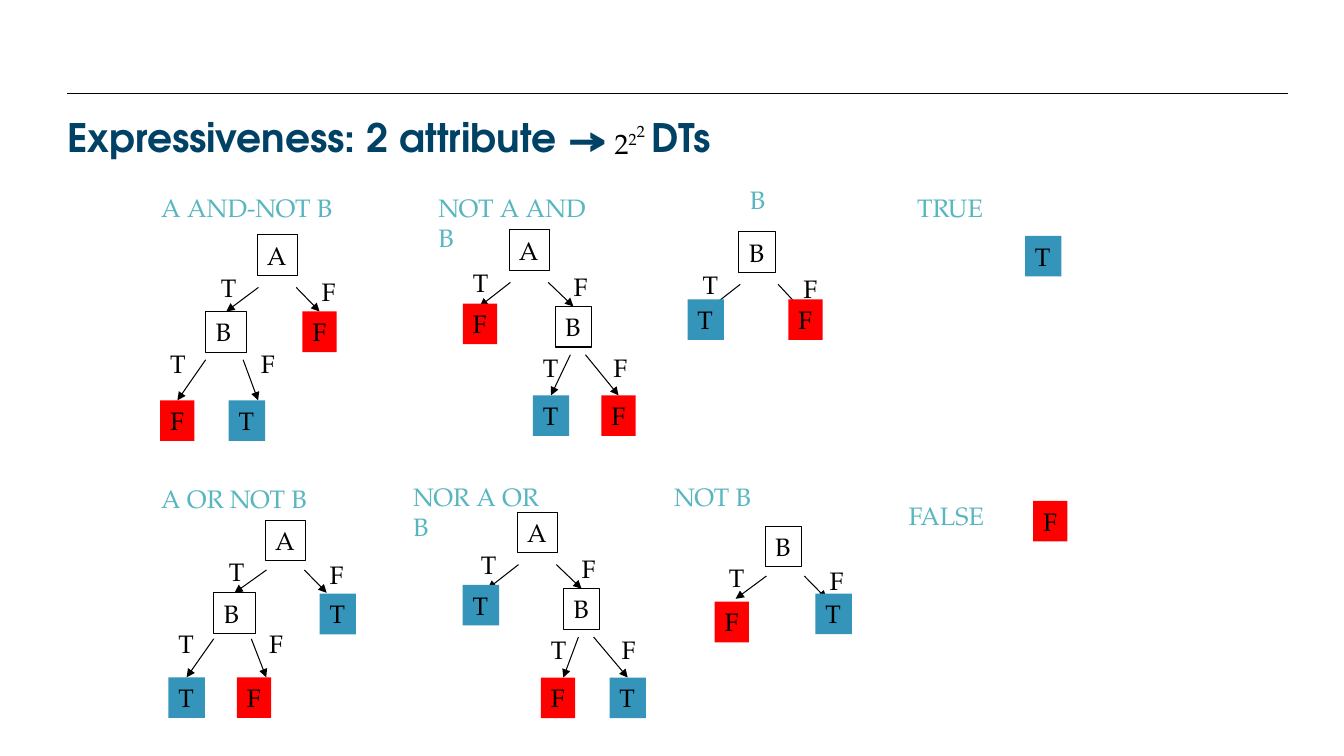
from lxml.etree import SubElement
from pptx import Presentation
from pptx.dml.color import RGBColor
from pptx.enum.shapes import MSO_CONNECTOR as LINE, MSO_SHAPE as SHAPE
from pptx.enum.text import MSO_ANCHOR as ANCHOR, MSO_AUTO_SIZE as AUTO, PP_ALIGN as ALIGN
from pptx.oxml.ns import qn
from pptx.util import Pt

BLACK = RGBColor(0x00, 0x00, 0x00)
RED = RGBColor(0xFF, 0x00, 0x00)
BLUE = RGBColor(0x34, 0x94, 0xBA)
TEAL = RGBColor(0x58, 0xB6, 0xC0)
NAVY = RGBColor(0x00, 0x42, 0x66)
SERIF, SANS = "TeX Gyre Pagella", "TeX Gyre Adventor"

# Content: captions as (text, left, top, width, wrapped)
CAPS = [
    ("A AND-NOT B", 108, 134, 137, False),
    ("NOT A AND B", 306, 134, 134, True),
    ("B", 528.5, 128, 26.5, False),
    ("TRUE", 648, 134, 63.5, False),
    ("A OR NOT B", 108, 341.5, 119, False),
    ("NOR A OR B", 288, 340, 118, True),
    ("NOT B", 474.5, 340, 70.5, False),
    ("FALSE", 642, 353.5, 70, False),
]
# Trees: (root, left, top, vertical scale, children)
# Child: (letter, dx, dy from its parent, side and leaves of its own fork)
TREES = [
    ("A", 183.6, 167.8, 1, [("B", -36.7, 54.7, "left", "FT"), ("F", 32.4, 54.7)]),
    ("A", 363.6, 164.2, 1, [("F", -33, 52.6), ("B", 33, 54.7, "right", "TF")]),
    ("B", 527.8, 165.6, 1, [("T", -36.7, 48.2), ("F", 35.3, 48.2)]),
    ("T", 732.2, 168.5, 1, []),
    ("A", 189.4, 371.5, 0.95, [("B", -36.7, 52, "left", "TF"), ("T", 38.9, 52.6)]),
    ("A", 369.4, 365.8, 1, [("T", -38.9, 52), ("B", 33, 54.7, "right", "FT")]),
    ("B", 546.5, 375.8, 0.95, [("F", -36, 54), ("T", 36, 48.2)]),
    ("F", 738, 357.8, 1, []),
]
# Forks, from the corner of the parent: two arrows, two label spots
FORKS = {
    "top": ([(1, 37.5, -21, 54.7), (28, 37.5, 44, 54.7)], [(-33, 23.2), (39, 26)]),
    "left": ([(0, 34.5, -21.6, 63.5), (26.8, 34.5, 37.5, 63.5)],
             [(-32.4, 23), (32.4, 23)]),
    "right": ([(10.8, 34.5, 0, 63.5), (21.6, 34.5, 43.2, 63.5)],
              [(-16, 29), (34.5, 29)]),
}
LEAVES = {"left": (-32.4, 16.5), "right": (-16, 33)}
DROP, HIGH = 63.5, 29
WIDE = {"A": 29, "B": 26, "T": 26, "F": 24.5}
FILL = {"T": BLUE, "F": RED}

deck = Presentation()
deck.slide_width, deck.slide_height = Pt(960), Pt(540)
slide = deck.slides.add_slide(deck.slide_layouts[5])
shapes = slide.shapes


def style(run, size=18, color=BLACK, face=SERIF, bold=False, base=0):
    font = run.font
    font.size, font.name, font.bold = Pt(size), face, bold
    font.color.rgb = color
    if base:
        run._r.get_or_add_rPr().set("baseline", str(base * 1000))


def write(text, x, y, w, h=HIGH, wrap=False, box=False, **form):
    area = [Pt(v) for v in (x, y, w, h)]
    if box:
        shape = shapes.add_shape(SHAPE.RECTANGLE, *area)
        shape.shadow.inherit = False
        if text in FILL:
            shape.fill.solid()
            shape.fill.fore_color.rgb = FILL[text]
            shape.line.fill.background()
        else:
            shape.fill.background()
            shape.line.color.rgb = BLACK
            shape.line.width = Pt(0.75)
    else:
        shape = shapes.add_textbox(*area)
    frame = shape.text_frame
    frame.word_wrap = wrap
    frame.vertical_anchor = ANCHOR.TOP
    para = frame.paragraphs[0]
    para.alignment = ALIGN.LEFT
    run = para.add_run()
    run.text = text
    style(run, **form)
    return shape


def rule(x1, y1, x2, y2, head=False):
    line = shapes.add_connector(LINE.STRAIGHT, Pt(x1), Pt(y1), Pt(x2), Pt(y2))
    line.line.color.rgb = BLACK
    line.line.width = Pt(0.75)
    if head:
        SubElement(line.line._get_or_add_ln(), qn("a:tailEnd"), type="triangle")
    SubElement(line._element.spPr, qn("a:effectLst"))
    return line


def fork(side, x, y, scale, kids):
    """Draw the arrows, child boxes and T/F labels below a parent."""
    arrows, spots = FORKS[side]
    lines = [rule(x + a, y + b * scale, x + c, y + d * scale, head=True)
             for a, b, c, d in arrows]
    for line, (name, dx, dy, *below) in zip(lines, kids):
        left, top = x + dx, y + dy
        roomy = bool(below) and below[0] == "left"
        wide = 29.5 if roomy else WIDE[name]
        node = write(name, left, top, wide, wrap=roomy, box=True)
        mid = node.left + node.width / 2
        if abs(line.end_x - mid) < Pt(3.5) and abs(line.end_y - node.top) < Pt(1):
            line.end_connect(node, 0)
        if below:
            way, names = below
            leaves = [(n, d, DROP * scale) for n, d in zip(names, LEAVES[way])]
            fork(way, left, top, scale, leaves)
    for name, (dx, dy) in zip("TF", spots):
        write(name, x + dx, y + dy * scale, WIDE[name])


# Title, with a tab stop that leaves room for the power
rule(48, 66.5, 920, 66.5)
title = shapes.title
title.left, title.top, title.width, title.height = Pt(48), Pt(80.5), Pt(864), Pt(34)
frame = title.text_frame
frame.auto_size = AUTO.NONE
frame.vertical_anchor = ANCHOR.MIDDLE
frame.margin_left = frame.margin_right = frame.margin_top = frame.margin_bottom = 0
para = frame.paragraphs[0]
para.alignment = ALIGN.LEFT
tabs = SubElement(para._p.get_or_add_pPr(), qn("a:tabLst"))
SubElement(tabs, qn("a:tab"), pos=str(Pt(417.5)), algn="l")
run = para.add_run()
run.text = "Expressiveness: 2 attribute →\tDTs"
style(run, size=28, color=NAVY, face=SANS, bold=True)

# Power of two
power = write("2", 432, 83, 38, 31.5, size=20)
for base in (30, 60):
    run = power.text_frame.paragraphs[0].add_run()
    run.text = "2"
    style(run, size=20, base=base)

# Decision trees
for root, x, y, scale, kids in TREES:
    write(root, x, y, WIDE[root], box=True)
    if kids:
        fork("top", x, y, scale, kids)

# Captions
for text, x, y, w, wrap in CAPS:
    write(text, x, y, w, wrap=wrap, color=TEAL)

deck.save("out.pptx")
